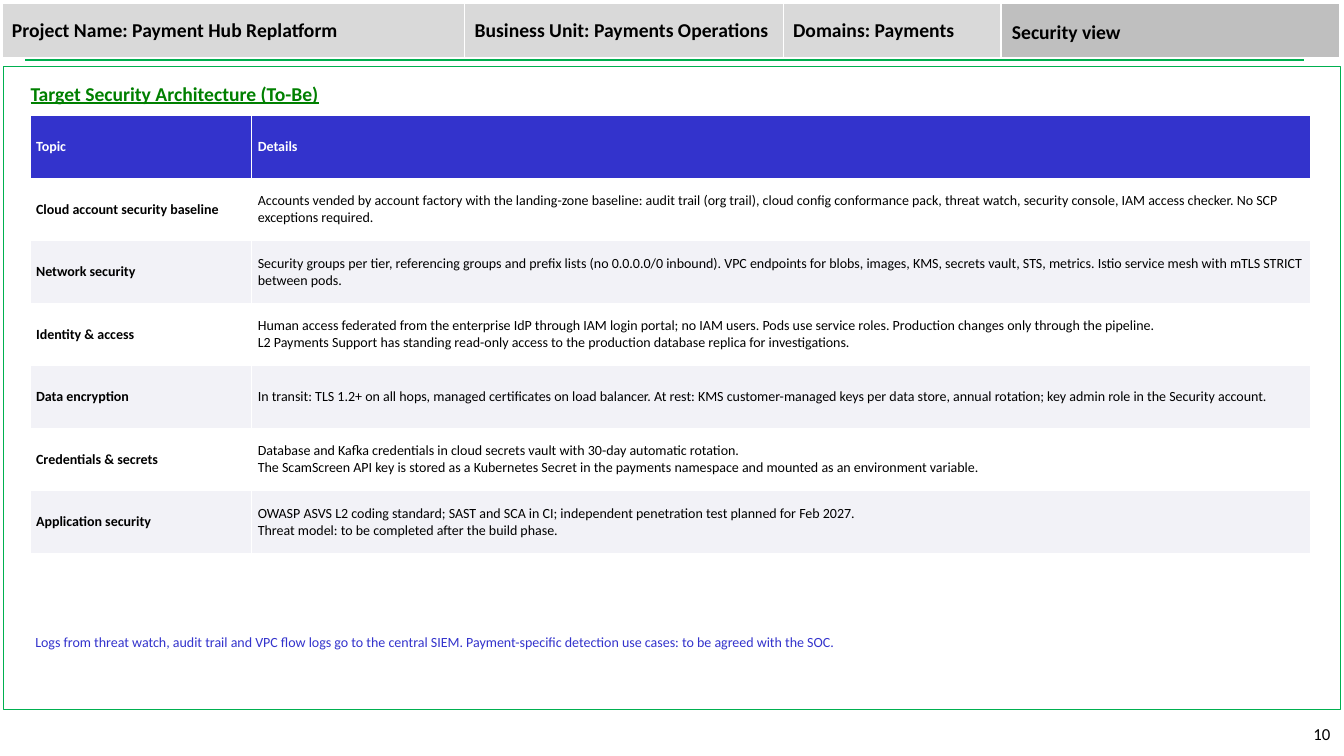
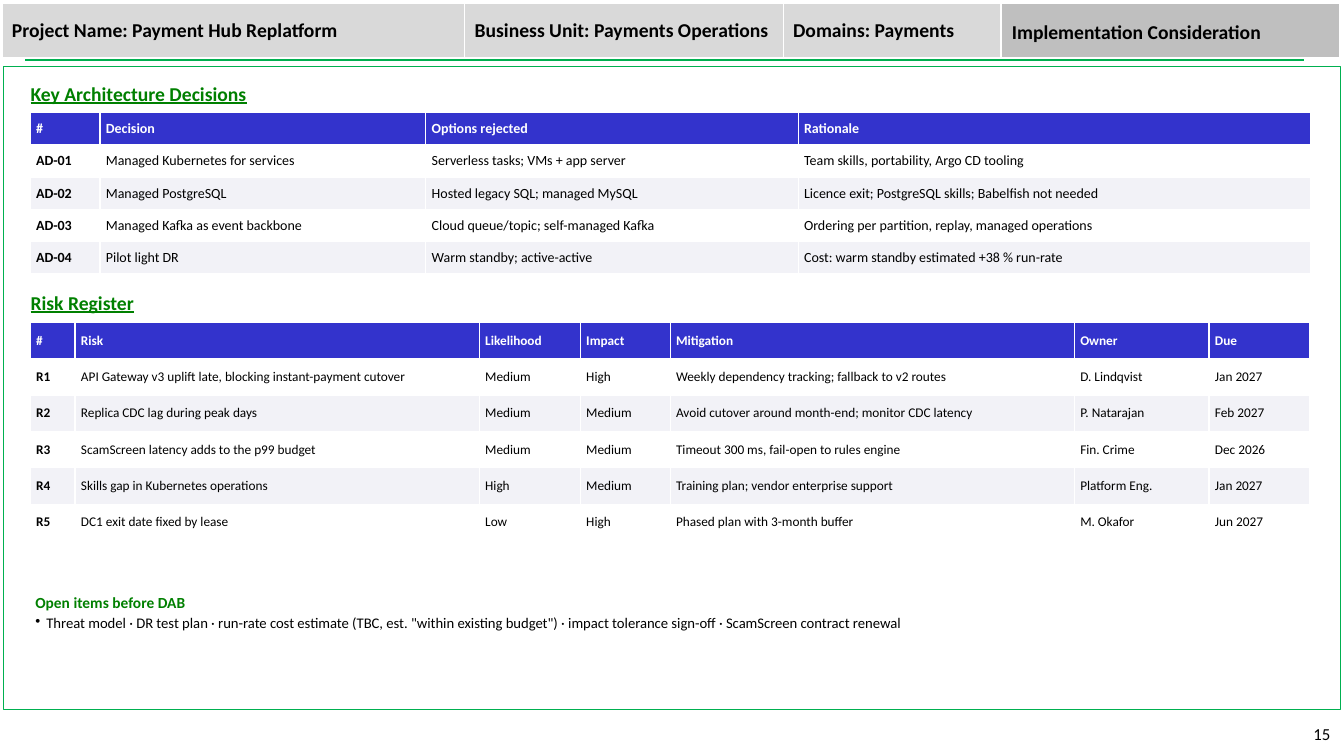
from lxml import etree
from pptx import Presentation
from pptx.dml.color import RGBColor
from pptx.enum.shapes import MSO_CONNECTOR, MSO_SHAPE
from pptx.enum.text import MSO_ANCHOR as ANCHOR, MSO_AUTO_SIZE as AUTO, PP_ALIGN as ALIGN
from pptx.oxml.ns import qn
from pptx.util import Cm, Pt

FONT = "Calibri"
COLORS = {
    "text": "000000", "white": "FFFFFF", "band": "D9D9D9", "band_dark": "BFBFBF",
    "line": "00B050", "heading": "008000", "accent": "3333CC", "stripe": "F2F2F7",
}
TITLE_BOX = (25.25, 0.36, 8.38, 0.86)
LEFT, WIDTH = 0.76, 32.26

SECURITY = [
    ("Topic", "Details"),
    ("Cloud account security baseline",
     "Accounts vended by account factory with the landing-zone baseline: audit trail (org trail), "
     "cloud config conformance pack, threat watch, security console, IAM access checker. "
     "No SCP exceptions required."),
    ("Network security",
     "Security groups per tier, referencing groups and prefix lists (no 0.0.0.0/0 inbound). "
     "VPC endpoints for blobs, images, KMS, secrets vault, STS, metrics. "
     "Istio service mesh with mTLS STRICT between pods."),
    ("Identity & access",
     "Human access federated from the enterprise IdP through IAM login portal; no IAM users. "
     "Pods use service roles. Production changes only through the pipeline.\n"
     "L2 Payments Support has standing read-only access to the production database replica "
     "for investigations."),
    ("Data encryption",
     "In transit: TLS 1.2+ on all hops, managed certificates on load balancer. At rest: KMS "
     "customer-managed keys per data store, annual rotation; key admin role in the Security account."),
    ("Credentials & secrets",
     "Database and Kafka credentials in cloud secrets vault with 30-day automatic rotation.\n"
     "The ScamScreen API key is stored as a Kubernetes Secret in the payments namespace "
     "and mounted as an environment variable."),
    ("Application security",
     "OWASP ASVS L2 coding standard; SAST and SCA in CI; independent penetration test "
     "planned for Feb 2027.\nThreat model: to be completed after the build phase."),
]
DECISIONS = [
    ("#", "Decision", "Options rejected", "Rationale"),
    ("AD-01", "Managed Kubernetes for services", "Serverless tasks; VMs + app server",
     "Team skills, portability, Argo CD tooling"),
    ("AD-02", "Managed PostgreSQL", "Hosted legacy SQL; managed MySQL",
     "Licence exit; PostgreSQL skills; Babelfish not needed"),
    ("AD-03", "Managed Kafka as event backbone", "Cloud queue/topic; self-managed Kafka",
     "Ordering per partition, replay, managed operations"),
    ("AD-04", "Pilot light DR", "Warm standby; active-active",
     "Cost: warm standby estimated +38 % run-rate"),
]
RISKS = [
    ("#", "Risk", "Likelihood", "Impact", "Mitigation", "Owner", "Due"),
    ("R1", "API Gateway v3 uplift late, blocking instant-payment cutover", "Medium", "High",
     "Weekly dependency tracking; fallback to v2 routes", "D. Lindqvist", "Jan 2027"),
    ("R2", "Replica CDC lag during peak days", "Medium", "Medium",
     "Avoid cutover around month-end; monitor CDC latency", "P. Natarajan", "Feb 2027"),
    ("R3", "ScamScreen latency adds to the p99 budget", "Medium", "Medium",
     "Timeout 300 ms, fail-open to rules engine", "Fin. Crime", "Dec 2026"),
    ("R4", "Skills gap in Kubernetes operations", "High", "Medium",
     "Training plan; vendor enterprise support", "Platform Eng.", "Jan 2027"),
    ("R5", "DC1 exit date fixed by lease", "Low", "High",
     "Phased plan with 3-month buffer", "M. Okafor", "Jun 2027"),
]


def rgb(name):
    """Return the named colour."""
    return RGBColor.from_string(COLORS[name])


def write(tf, text, size=10, color="text", bold=False, underline=False,
          align=ALIGN.LEFT, after=0, bullet=False):
    """Add each line of text to the frame as a formatted paragraph."""
    for line in text.split("\n"):
        p = tf.paragraphs[0]
        if p.runs:
            p = tf.add_paragraph()
        if bullet:
            pPr = p._p.get_or_add_pPr()
            pPr.set("marL", str(Cm(0.28)))
            pPr.set("indent", str(-Cm(0.28)))
            etree.SubElement(pPr, qn("a:buChar")).set("char", "•")
        p.alignment = align
        p.space_after = Pt(after)
        r = p.add_run()
        r.text = line
        f = r.font
        f.name, f.size, f.bold, f.underline = FONT, Pt(size), bold, underline
        f.color.rgb = rgb(color)


def set_margins(target, x, y):
    """Give a cell or text frame equal side and equal top and bottom margins."""
    target.margin_left = target.margin_right = Cm(x)
    target.margin_top = target.margin_bottom = Cm(y)


def add_text(s, box, text=None, anchor=ANCHOR.TOP, margins=(0.13, 0.08), **fmt):
    """Add a wrapping text box and return its frame."""
    tf = s.shapes.add_textbox(*map(Cm, box)).text_frame
    tf.word_wrap = True
    tf.vertical_anchor = anchor
    set_margins(tf, *margins)
    if text:
        write(tf, text, **fmt)
    return tf


def add_grid(s, box, ratios, n_rows):
    """Add a table that shares the box by column ratios and equal rows."""
    x, y, w, h = box
    gf = s.shapes.add_table(n_rows, len(ratios), *map(Cm, box))
    table = gf.table
    table.horz_banding = False
    for col, ratio in zip(table.columns, ratios):
        col.width = Cm(w * ratio / sum(ratios))
    for row in table.rows:
        row.height = Cm(h / n_rows)
    return gf


def fill_cell(cell, text, fill, margins=(0.15, 0.08), **fmt):
    """Fill a cell and write its text in the middle."""
    cell.fill.solid()
    cell.fill.fore_color.rgb = rgb(fill)
    cell.vertical_anchor = ANCHOR.MIDDLE
    set_margins(cell, *margins)
    if text:
        write(cell.text_frame, text, **fmt)


def add_data_table(s, box, ratios, rows, size=10):
    """Add a striped table with a coloured header and bold first column."""
    table = add_grid(s, box, ratios, len(rows)).table
    for i, row in enumerate(rows):
        fill = "accent" if i == 0 else "white" if i % 2 else "stripe"
        for j, text in enumerate(row):
            fill_cell(table.cell(i, j), text, fill, size=size, bold=i == 0 or j == 0,
                      color="text" if i else "white")


def add_heading(s, y, text):
    """Add an underlined section heading."""
    add_text(s, (0.64, y, 20.32, 0.81), text, size=14, color="heading",
             bold=True, underline=True, after=2)


def build_layout(prs, layout):
    """Place the project band, rule and frame on the layout."""
    s = prs.slides[0]
    rule = s.shapes.add_connector(MSO_CONNECTOR.STRAIGHT, Cm(0.64), Cm(1.52), Cm(32.87), Cm(1.52))
    rule.line.color.rgb = rgb("line")
    rule.line.width = Pt(1.5)
    etree.SubElement(rule._element.spPr, qn("a:effectLst"))
    band = add_grid(s, (0.05, 0.08, 33.71, 1.37), (459, 316, 216, 336), 1)
    labels = ("Project Name: Payment Hub Replatform", "Business Unit: Payments Operations",
              "Domains: Payments", "")
    for cell, text in zip(band.table.rows[0].cells, labels):
        fill_cell(cell, text, "band" if text else "band_dark", (0.25, 0.13), size=14, bold=True)
    frame = s.shapes.add_shape(MSO_SHAPE.RECTANGLE, Cm(0.1), Cm(1.68), Cm(33.68), Cm(16.21))
    frame.shadow.inherit = False
    frame.fill.background()
    frame.line.color.rgb = rgb("line")
    frame.line.width = Pt(0.75)
    for sp in (rule, band, frame):
        layout.shapes.element.append(sp._element)


def start_slide(s, title, number):
    """Set the slide title and page number."""
    sp = s.shapes.title
    sp.left, sp.top, sp.width, sp.height = map(Cm, TITLE_BOX)
    tf = sp.text_frame
    tf.word_wrap = True
    tf.auto_size = AUTO.NONE
    tf.vertical_anchor = ANCHOR.TOP
    set_margins(tf, 0.25, 0.13)
    write(tf, title, size=14, bold=True)
    add_text(s, (25.88, 17.98, 7.9, 1.02), str(number), ANCHOR.MIDDLE, (0.25, 0.13),
             size=12, align=ALIGN.RIGHT)


def build_security(s):
    """Build the security view slide."""
    start_slide(s, "Security view", 10)
    add_heading(s, 1.98, "Target Security Architecture (To-Be)")
    add_data_table(s, (LEFT, 2.92, WIDTH, 11.02), (22, 105), SECURITY)
    add_text(s, (LEFT, 15.88, WIDTH, 1.52),
             "Logs from threat watch, audit trail and VPC flow logs go to the central SIEM. "
             "Payment-specific detection use cases: to be agreed with the SOC.",
             color="accent", after=2)


def build_implementation(s):
    """Build the implementation consideration slide."""
    start_slide(s, "Implementation Consideration", 15)
    add_heading(s, 1.98, "Key Architecture Decisions")
    add_data_table(s, (LEFT, 2.84, WIDTH, 4.06), (15, 70, 80, 110), DECISIONS)
    add_heading(s, 7.24, "Risk Register")
    add_data_table(s, (LEFT, 8.13, WIDTH, 5.49), (4, 36, 9, 8, 36, 12, 9), RISKS, size=9.5)
    tf = add_text(s, (LEFT, 14.86, WIDTH, 2.54), "Open items before DAB",
                  size=11, color="heading", bold=True, after=2)
    write(tf, "Threat model · DR test plan · run-rate cost estimate (TBC, est. "
              "\"within existing budget\") · impact tolerance sign-off · ScamScreen contract renewal",
          size=10.5, after=2, bullet=True)


def main():
    """Build and save the presentation."""
    prs = Presentation()
    prs.slide_width, prs.slide_height = Cm(33.87), Cm(19.05)
    layout = prs.slide_layouts[5]
    slides = [prs.slides.add_slide(layout) for _ in range(2)]
    build_layout(prs, layout)
    for build, s in zip((build_security, build_implementation), slides):
        build(s)
    prs.save("out.pptx")


if __name__ == "__main__":
    main()
